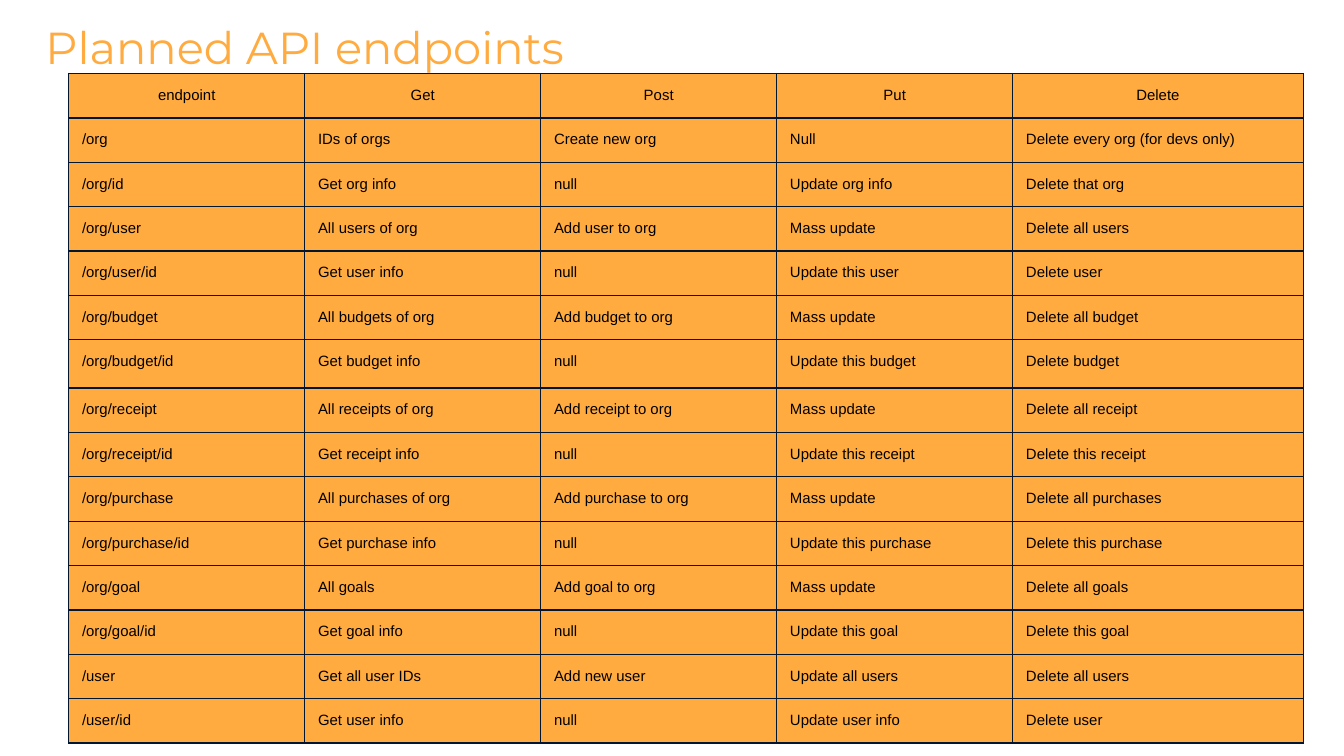
from lxml import etree
from pptx import Presentation
from pptx.dml.color import RGBColor
from pptx.enum.text import MSO_ANCHOR, PP_ALIGN
from pptx.oxml.ns import qn
from pptx.util import Cm, Pt

LEFT, CENTER = PP_ALIGN.LEFT, PP_ALIGN.CENTER
TOP = MSO_ANCHOR.TOP
ORANGE = RGBColor(0xFF, 0xAB, 0x40)
NAVY = RGBColor(0x00, 0x16, 0x33)
BLACK = RGBColor(0x00, 0x00, 0x00)

# Content
TITLE = "Planned API endpoints"
HEADER = ("endpoint", "Get", "Post", "Put", "Delete")
ENDPOINTS = [
    ("/org", "IDs of orgs", "Create new org", "Null", "Delete every org (for devs only)"),
    ("/org/id", "Get org info", "null", "Update org info", "Delete that org"),
    ("/org/user", "All users of org", "Add user to org", "Mass update", "Delete all users"),
    ("/org/user/id", "Get user info", "null", "Update this user", "Delete user"),
    ("/org/budget", "All budgets of org", "Add budget to org", "Mass update", "Delete all budget"),
    ("/org/budget/id", "Get budget info", "null", "Update this budget", "Delete budget"),
    ("/org/receipt", "All receipts of org", "Add receipt to org", "Mass update", "Delete all receipt"),
    ("/org/receipt/id", "Get receipt info", "null", "Update this receipt", "Delete this receipt"),
    ("/org/purchase", "All purchases of org", "Add purchase to org", "Mass update", "Delete all purchases"),
    ("/org/purchase/id", "Get purchase info", "null", "Update this purchase", "Delete this purchase"),
    ("/org/goal", "All goals", "Add goal to org", "Mass update", "Delete all goals"),
    ("/org/goal/id", "Get goal info", "null", "Update this goal", "Delete this goal"),
    ("/user", "Get all user IDs", "Add new user", "Update all users", "Delete all users"),
    ("/user/id", "Get user info", "null", "Update user info", "Delete user"),
]

# Layout
INSET = Cm(0.25)
COLUMN_WIDTHS = [Cm(4.46)] * 4 + [Cm(5.49)]
ROW_HEIGHT = Cm(0.82)
TALL_ROWS = {"/org/budget/id": Cm(0.91)}


def write_text(frame, text, font="Arial", size=8, color=BLACK, align=LEFT):
    para = frame.paragraphs[0]
    para.alignment = align
    span = para.add_run()
    span.text = text
    span.font.name = font
    span.font.size = Pt(size)
    span.font.color.rgb = color


def set_insets(box):
    box.margin_left = box.margin_right = INSET
    box.margin_top = box.margin_bottom = INSET
    box.vertical_anchor = TOP


def add_borders(cell, color=NAVY, width=0.75):
    properties = cell._tc.get_or_add_tcPr()
    # Borders must come before the cell fill
    for position, side in enumerate(("a:lnL", "a:lnR", "a:lnT", "a:lnB")):
        line = etree.Element(qn(side), w=str(Pt(width)))
        fill = etree.SubElement(line, qn("a:solidFill"))
        etree.SubElement(fill, qn("a:srgbClr"), val=str(color))
        properties.insert(position, line)


deck = Presentation()
deck.slide_width, deck.slide_height = Cm(25.4), Cm(14.29)
page = deck.slides.add_slide(deck.slide_layouts[6])

# Title
title = page.shapes.add_textbox(Cm(0.61), Cm(0.13), Cm(12.85), Cm(2.62))
title.text_frame.word_wrap = True
set_insets(title.text_frame)
write_text(title.text_frame, TITLE, font="Montserrat", size=24, color=ORANGE)

# Endpoint table
rows = [HEADER] + ENDPOINTS
heights = [TALL_ROWS.get(row[0], ROW_HEIGHT) for row in rows]
table = page.shapes.add_table(
    len(rows), len(HEADER), Cm(1.3), Cm(1.39), sum(COLUMN_WIDTHS), sum(heights)
).table
for column, width in zip(table.columns, COLUMN_WIDTHS):
    column.width = width
for row_index, (row, height) in enumerate(zip(rows, heights)):
    table.rows[row_index].height = height
    for column_index, text in enumerate(row):
        cell = table.cell(row_index, column_index)
        set_insets(cell)
        cell.fill.solid()
        cell.fill.fore_color.rgb = ORANGE
        add_borders(cell)
        write_text(cell.text_frame, text, align=CENTER if row_index == 0 else LEFT)

deck.save("out.pptx")
